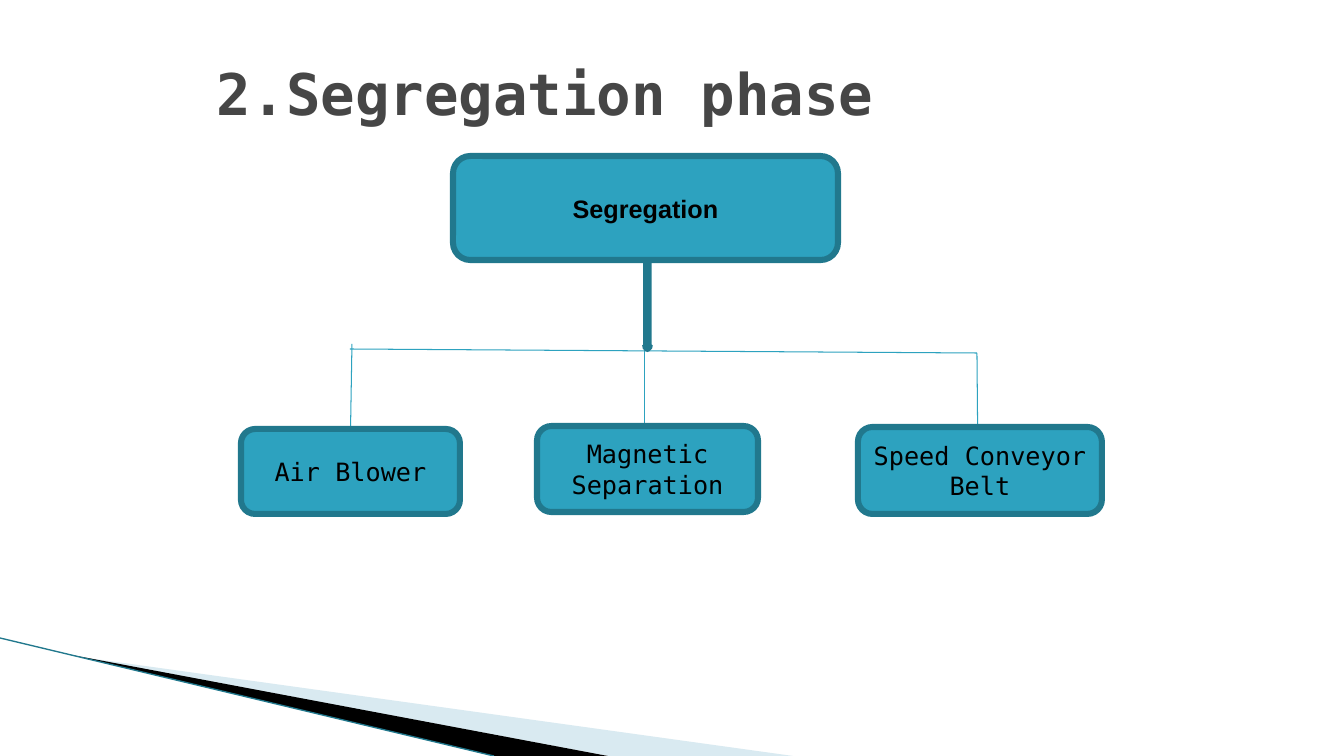
from dataclasses import dataclass

from lxml import etree
from pptx import Presentation
from pptx import util as u
from pptx.dml.color import RGBColor
from pptx.enum import shapes, text
from pptx.oxml.ns import qn

PX = 9071.43  # EMU in one pixel


@dataclass(frozen=True)
class Theme:
    """Colours, fonts and sizes of the slide."""
    fill: str = "2DA2BF"
    edge: str = "21788D"
    pale: str = "A0CBDC"
    black: str = "000000"
    heading: str = "464646"
    mono: str = "DejaVu Sans Mono"
    sans: str = "Arial"
    title_size: float = 41
    box_size: float = 18
    box_edge: float = 4.33
    branch_edge: float = 0.75
    sweep_edge: float = 0.95


THEME = Theme()

TITLE = ("2.Segregation phase", (0, 30, 1210, 126))
TITLE_INDENT = 217
ROOT = ("Segregation", (453, 156, 385, 104))
METHODS = [
    ("Air Blower", (241, 429, 219, 85)),
    ("Magnetic Separation", (537, 426, 221, 86)),
    ("Speed Conveyor Belt", (858, 427, 244, 87)),
]
STEM = (645, 263, 5, 86)
BRANCHES = [
    ((977, 353), (350, 349)),
    ((352, 344), (350, 462)),
    ((645, 340), (645, 462)),
    ((977, 353), (978, 468)),
]
# Corner points, colour, opacity in percent
WEDGES = [
    ([(73, 656), (793, 756), (608, 756)], THEME.pale, 40),
    ([(72, 655), (608, 756), (494, 756)], THEME.black, 100),
]
SWEEP = ((0, 638), (494, 756))


def emu(*pixels):
    """Turn pixel lengths into EMU."""
    return [u.Emu(round(value * PX)) for value in pixels]


def style_text(frame, font, size, color, bold):
    """Format every run of a text frame."""
    for para in frame.paragraphs:
        for span in para.runs:
            span.font.name = font
            span.font.size = u.Pt(size)
            span.font.bold = bold
            span.font.color.rgb = RGBColor.from_string(color)


def paint(shape, color):
    """Give a shape a plain fill and no shadow."""
    shape.shadow.inherit = False
    shape.fill.solid()
    shape.fill.fore_color.rgb = RGBColor.from_string(color)


def add_block(page, kind, place):
    """Add a teal shape with a thick dark edge."""
    block = page.shapes.add_shape(kind, *emu(*place))
    paint(block, THEME.fill)
    block.line.color.rgb = RGBColor.from_string(THEME.edge)
    block.line.width = u.Pt(THEME.box_edge)
    return block


def add_box(page, label, place, font, bold=False):
    """Add a rounded box with a centred label."""
    box = add_block(page, shapes.MSO_SHAPE.ROUNDED_RECTANGLE, place)
    frame = box.text_frame
    frame.text = label
    frame.word_wrap = True
    frame.vertical_anchor = text.MSO_ANCHOR.MIDDLE
    frame.paragraphs[0].alignment = text.PP_ALIGN.CENTER
    style_text(frame, font, THEME.box_size, THEME.black, bold)


def add_line(page, ends, color, width):
    """Add a straight line without a shadow."""
    (x1, y1), (x2, y2) = ends
    line = page.shapes.add_connector(
        shapes.MSO_CONNECTOR.STRAIGHT, *emu(x1, y1, x2, y2))
    line.line.color.rgb = RGBColor.from_string(color)
    line.line.width = u.Pt(width)
    etree.SubElement(line._element.spPr, qn("a:effectLst"))


def add_wedge(page, points, color, opacity):
    """Add a filled triangle of the corner decoration."""
    builder = page.shapes.build_freeform(*points[0], scale=PX)
    builder.add_line_segments(points[1:], close=True)
    wedge = builder.convert_to_shape()
    paint(wedge, color)
    wedge.line.fill.background()
    if opacity < 100:
        tint = wedge._element.spPr.find(qn("a:solidFill"))[0]
        etree.SubElement(tint, qn("a:alpha"), val=str(opacity * 1000))


def set_title(page, label, place):
    """Place and format the title placeholder."""
    title = page.shapes.title
    title.left, title.top, title.width, title.height = emu(*place)
    frame = title.text_frame
    frame.text = label
    frame.word_wrap = True
    frame.auto_size = text.MSO_AUTO_SIZE.NONE
    frame.margin_left = emu(TITLE_INDENT)[0]
    frame.vertical_anchor = text.MSO_ANCHOR.MIDDLE
    frame.paragraphs[0].alignment = text.PP_ALIGN.LEFT
    style_text(frame, THEME.mono, THEME.title_size, THEME.heading, True)


def build():
    """Build and save the slide."""
    deck = Presentation()
    deck.slide_width, deck.slide_height = emu(1344, 756)
    page = deck.slides.add_slide(deck.slide_layouts.get_by_name("Title Only"))
    set_title(page, *TITLE)
    for wedge in WEDGES:
        add_wedge(page, *wedge)
    add_line(page, SWEEP, THEME.edge, THEME.sweep_edge)
    add_box(page, *ROOT, THEME.sans, bold=True)
    for ends in BRANCHES:
        add_line(page, ends, THEME.fill, THEME.branch_edge)
    for label, place in METHODS:
        add_box(page, label, place, THEME.mono)
    add_block(page, shapes.MSO_SHAPE.DOWN_ARROW, STEM)
    deck.save("out.pptx")


build()
